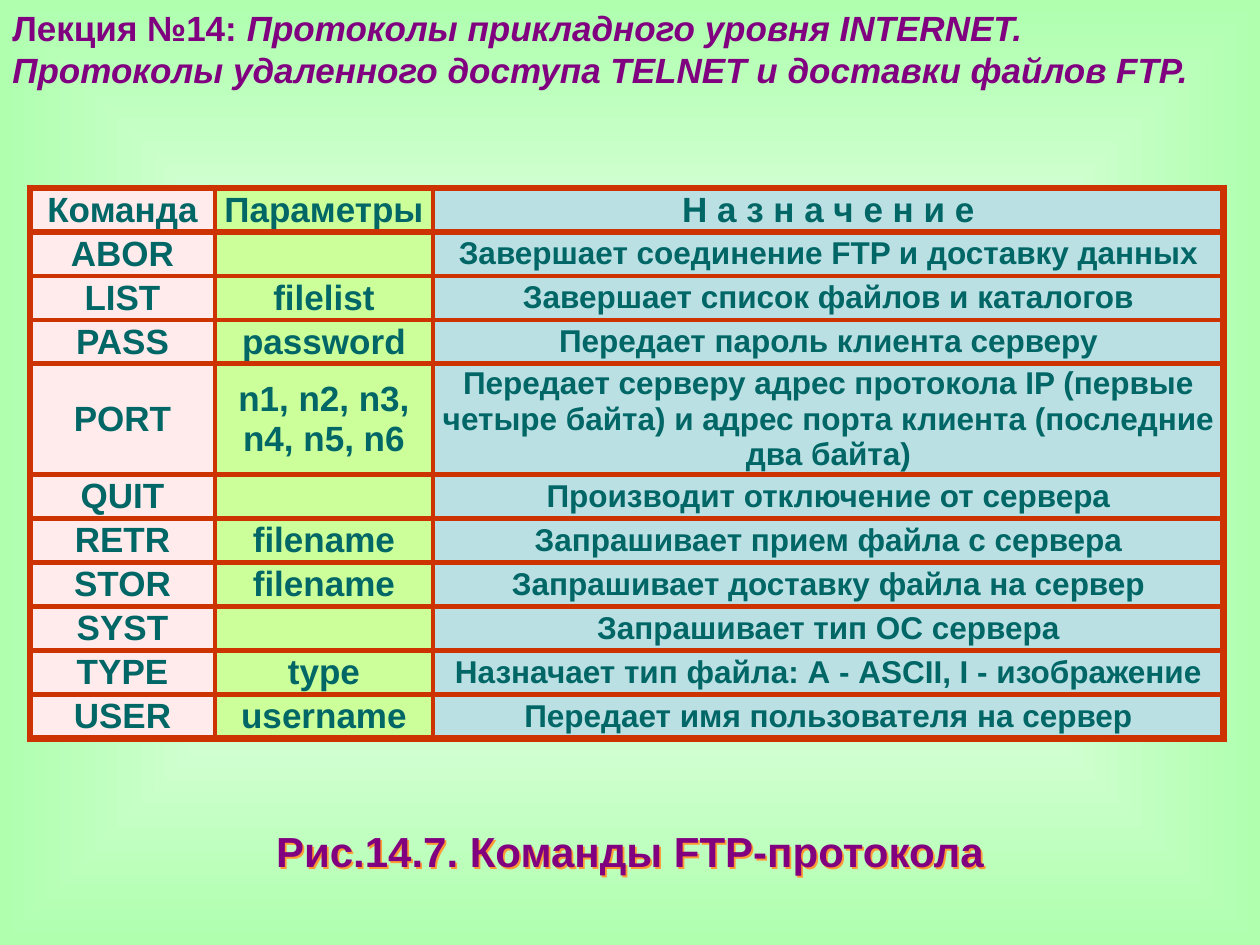
from dataclasses import dataclass

import pptx
import pptx.dml.color
import pptx.enum.text
import pptx.oxml
import pptx.oxml.ns
import pptx.util
from lxml import etree

EMU_PER_PX = 914400 / 126
ALIGN = pptx.enum.text.PP_ALIGN
DRAWING_NS = pptx.oxml.ns.nsdecls("a")


@dataclass(frozen=True)
class Theme:
    font: str = "Arial"
    heading: str = "800080"
    caption_shadow: str = "FF9933"
    table_text: str = "006666"
    border: str = "CC3300"
    column_fills: tuple = ("FFEBEB", "CCFF99", "BBE0E3")
    background: tuple = ("FFFFFF", "AFFFAF")
    caption_size: int = 24
    text_size: int = 20
    purpose_size: int = 18
    inner_border: float = 3
    outer_border: float = 4.5


THEME = Theme()

TITLE = [
    [("Лекция №14: ", False), ("Протоколы прикладного уровня INTERNET.", True)],
    [("Протоколы удаленного доступа TELNET и доставки файлов FTP.", True)],
]
CAPTION = "Рис.14.7. Команды FTP-протокола"
COMMANDS = [
    ("Команда", "Параметры", "Н а з н а ч е н и е"),
    ("ABOR", "", "Завершает соединение FTP и доставку данных"),
    ("LIST", "filelist", "Завершает список файлов и каталогов"),
    ("PASS", "password", "Передает пароль клиента серверу"),
    ("PORT", "n1, n2, n3,\nn4, n5, n6",
     "Передает серверу адрес протокола IP (первые четыре байта) "
     "и адрес порта клиента (последние два байта)"),
    ("QUIT", "", "Производит отключение от сервера"),
    ("RETR", "filename", "Запрашивает прием файла с сервера"),
    ("STOR", "filename", "Запрашивает доставку файла на сервер"),
    ("SYST", "", "Запрашивает тип ОС сервера"),
    ("TYPE", "type", "Назначает тип файла: А - ASCII, I - изображение"),
    ("USER", "username", "Передает имя пользователя на сервер"),
]
COLUMN_WIDTHS = (185, 218, 791)
ROW_HEIGHT = 44
TALL_ROW_HEIGHT = 111


def px(length):
    return pptx.util.Emu(round(length * EMU_PER_PX))


def rgb(color):
    return pptx.dml.color.RGBColor.from_string(color)


def write_text(frame, content, *, size, color, align=None, line_spacing=None):
    """Write a string, or paragraphs given as lists of (text, italic) runs."""
    if isinstance(content, str):
        content = [[(line, False)] for line in content.split("\n")]
    frame.word_wrap = True
    for index, runs in enumerate(content):
        paragraph = frame.add_paragraph() if index else frame.paragraphs[0]
        paragraph.alignment = align
        paragraph.line_spacing = line_spacing
        for text, italic in runs:
            run = paragraph.add_run()
            run.text = text
            run.font.name = THEME.font
            run.font.size = pptx.util.Pt(size)
            run.font.bold = True
            run.font.italic = italic
            run.font.color.rgb = rgb(color)


def add_text(slide, box, content, **text_format):
    text_box = slide.shapes.add_textbox(*map(px, box))
    write_text(text_box.text_frame, content, **text_format)
    return text_box


def add_text_shadow(text_box, color):
    """Shadow an unfilled box, so that its letters cast the shadow."""
    text_box._element.spPr.append(pptx.oxml.parse_xml(
        f'<a:effectLst {DRAWING_NS}>'
        '<a:outerShdw dist="17961" dir="2700000" algn="ctr" rotWithShape="0">'
        f'<a:srgbClr val="{color}"/></a:outerShdw></a:effectLst>'))


def paint_background(slide):
    """Fill with a gradient that spreads from the centre to the edges."""
    fill = slide.background.fill
    fill.gradient()
    for stop, position, color in zip(fill.gradient_stops, (0, 1), THEME.background):
        stop.position = position
        stop.color.rgb = rgb(color)
    linear = slide._element.find(".//" + pptx.oxml.ns.qn("a:lin"))
    linear.getparent().replace(linear, pptx.oxml.parse_xml(
        f'<a:path {DRAWING_NS} path="shape">'
        '<a:fillToRect l="50000" t="50000" r="50000" b="50000"/></a:path>'))


def set_borders(cell, widths):
    """Draw the sides named L, R, T and B with widths in points."""
    properties = cell._tc.get_or_add_tcPr()
    for position, (side, width) in enumerate(widths.items()):
        line = etree.Element(pptx.oxml.ns.qn(f"a:ln{side}"),
                             w=str(pptx.util.Pt(width)))
        solid = etree.SubElement(line, pptx.oxml.ns.qn("a:solidFill"))
        etree.SubElement(solid, pptx.oxml.ns.qn("a:srgbClr"), val=THEME.border)
        properties.insert(position, line)


def format_cell(cell, row, column):
    cell.vertical_anchor = pptx.enum.text.MSO_ANCHOR.MIDDLE
    cell.margin_left = cell.margin_right = px(2)
    cell.margin_top = cell.margin_bottom = px(2)
    cell.fill.solid()
    cell.fill.fore_color.rgb = rgb(THEME.column_fills[column])
    last_row, last_column = len(COMMANDS) - 1, len(COLUMN_WIDTHS) - 1
    heavy_sides = {
        "L": column == 0,
        "R": column == last_column,
        "T": row in (0, 1),
        "B": row in (0, last_row),
    }
    set_borders(cell, {side: THEME.outer_border if heavy else THEME.inner_border
                       for side, heavy in heavy_sides.items()})


def add_command_table(slide, left, top):
    row_heights = [TALL_ROW_HEIGHT if command == "PORT" else ROW_HEIGHT
                   for command, _, _ in COMMANDS]
    table = slide.shapes.add_table(
        len(COMMANDS), len(COLUMN_WIDTHS), px(left), px(top),
        px(sum(COLUMN_WIDTHS)), px(sum(row_heights))).table
    for table_column, width in zip(table.columns, COLUMN_WIDTHS):
        table_column.width = px(width)
    for row, entries in enumerate(COMMANDS):
        table.rows[row].height = px(row_heights[row])
        for column, entry in enumerate(entries):
            cell = table.cell(row, column)
            format_cell(cell, row, column)
            if entry:
                is_purpose = row > 0 and column == 2
                write_text(cell.text_frame, entry, color=THEME.table_text,
                           size=THEME.purpose_size if is_purpose else THEME.text_size,
                           align=ALIGN.CENTER)


def main():
    presentation = pptx.Presentation()
    presentation.slide_width, presentation.slide_height = px(1260), px(945)
    slide = presentation.slides.add_slide(presentation.slide_layouts[6])
    paint_background(slide)
    add_command_table(slide, 30, 188)
    caption = add_text(slide, (0, 825, 1260, 58), CAPTION, size=THEME.caption_size,
                       color=THEME.heading, align=ALIGN.CENTER, line_spacing=0.9)
    add_text_shadow(caption, THEME.caption_shadow)
    add_text(slide, (0, 0, 1260, 97), TITLE, size=THEME.text_size, color=THEME.heading)
    presentation.save("out.pptx")


if __name__ == "__main__":
    main()
